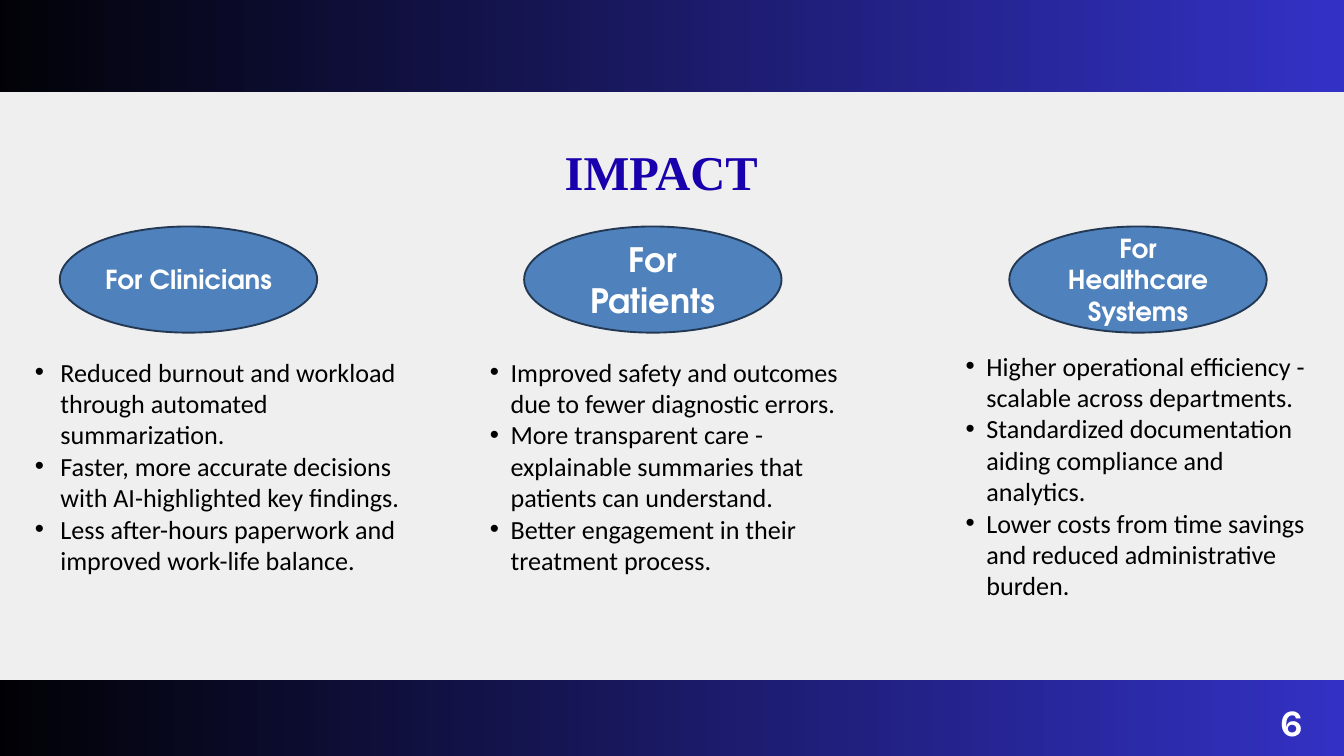
"""Build the IMPACT slide: three audiences, each with a heading and its benefits."""
from lxml import etree
from pptx import Presentation
from pptx.dml.color import RGBColor
from pptx.enum.shapes import MSO_SHAPE
from pptx.enum.text import MSO_ANCHOR, PP_ALIGN
from pptx.oxml.ns import qn
from pptx.util import Inches, Pt

RECTANGLE, OVAL = MSO_SHAPE.RECTANGLE, MSO_SHAPE.OVAL
CENTER, MIDDLE = PP_ALIGN.CENTER, MSO_ANCHOR.MIDDLE

PAPER = RGBColor(0xEF, 0xEF, 0xEF)
BLACK = RGBColor(0x00, 0x00, 0x00)
WHITE = RGBColor(0xFF, 0xFF, 0xFF)
BAND_BLUE = RGBColor(0x35, 0x33, 0xCD)
TITLE_BLUE = RGBColor(0x18, 0x00, 0xAD)
OVAL_BLUE = RGBColor(0x4F, 0x81, 0xBD)
OVAL_EDGE = RGBColor(0x23, 0x39, 0x53)

BANDS = [(-0.76, -0.49), (-0.55, 10.12)]
BAND_SIZE = (21.52, 1.86)
OVAL_TOP, OVAL_SIZE = 3.37, (3.83, 1.58)

LABELS = [
    ("6", (19.04, 10.29, 0.36, 0.75), "Karla", 40, WHITE),
    ("IMPACT", (1.34, 1.97, 17, 0.99), "Times New Roman", 52, TITLE_BLUE),
]

AUDIENCES = [
    {
        "heading": "For Clinicians", "size": 28, "oval_left": 0.89,
        "box": (0.42, 5.25, 5.92, 3.4), "indent": 0.38,
        "benefits": [
            "Reduced burnout and workload through automated summarization.",
            "Faster, more accurate decisions with AI-highlighted key findings.",
            "Less after-hours paperwork and improved work-life balance.",
        ],
    },
    {
        "heading": "For Patients", "size": 36, "oval_left": 7.8,
        "box": (7.19, 5.25, 5.63, 3.4), "indent": 0.31,
        "benefits": [
            "Improved safety and outcomes due to fewer diagnostic errors.",
            "More transparent care - explainable summaries that patients can understand.",
            "Better engagement in their treatment process.",
        ],
    },
    {
        "heading": "For Healthcare Systems", "size": 28, "oval_left": 15.02,
        "box": (14.27, 5.16, 5.33, 3.87), "indent": 0.31,
        "benefits": [
            "Higher operational efficiency - scalable across departments.",
            "Standardized documentation aiding compliance and analytics.",
            "Lower costs from time savings and reduced administrative burden.",
        ],
    },
]


def inches(values):
    return [Inches(value) for value in values]


def style(paragraph, font_name, size, color, bold=False):
    for run in paragraph.runs:
        run.font.name = font_name
        run.font.size = Pt(size)
        run.font.color.rgb = color
        run.font.bold = bold


def add_band(slide, corner):
    band = slide.shapes.add_shape(RECTANGLE, *inches(corner + BAND_SIZE))
    band.shadow.inherit = False
    band.line.fill.background()
    band.fill.gradient()
    band.fill.gradient_angle = 0
    for stop, position, color in zip(band.fill.gradient_stops, (0, 1), (BLACK, BAND_BLUE)):
        stop.position = position
        stop.color.rgb = color


def add_label(slide, text, box, font_name, size, color):
    frame = slide.shapes.add_textbox(*inches(box)).text_frame
    frame.word_wrap = True
    frame.margin_left = frame.margin_right = frame.margin_top = frame.margin_bottom = 0
    frame.text = text
    line = frame.paragraphs[0]
    line.alignment = CENTER
    line.line_spacing = Pt(size * 1.4)
    style(line, font_name, size, color, bold=True)


def add_heading(slide, audience):
    oval = slide.shapes.add_shape(
        OVAL, *inches((audience["oval_left"], OVAL_TOP) + OVAL_SIZE))
    oval.shadow.inherit = False
    oval.fill.solid()
    oval.fill.fore_color.rgb = OVAL_BLUE
    oval.line.color.rgb = OVAL_EDGE
    oval.line.width = Pt(2)
    frame = oval.text_frame
    frame.word_wrap = True
    frame.vertical_anchor = MIDDLE
    frame.text = audience["heading"]
    frame.paragraphs[0].alignment = CENTER
    style(frame.paragraphs[0], "TeX Gyre Adventor", audience["size"], WHITE, bold=True)


def add_bullet(paragraph, indent):
    properties = paragraph._p.get_or_add_pPr()
    properties.set("marL", str(Inches(indent)))
    properties.set("indent", str(-Inches(indent)))
    etree.SubElement(properties, qn("a:buFont")).set("typeface", "Arial")
    etree.SubElement(properties, qn("a:buChar")).set("char", "•")


def add_benefits(slide, audience):
    frame = slide.shapes.add_textbox(*inches(audience["box"])).text_frame
    frame.word_wrap = True
    frame.text = "\n".join(audience["benefits"])
    for benefit in frame.paragraphs:
        add_bullet(benefit, audience["indent"])
        style(benefit, "Calibri", 28, BLACK)


def main():
    deck = Presentation()
    deck.slide_width, deck.slide_height = Inches(20), Inches(11.25)
    slide = deck.slides.add_slide(deck.slide_layouts[6])
    slide.background.fill.solid()
    slide.background.fill.fore_color.rgb = PAPER
    for corner in BANDS:
        add_band(slide, corner)
    for label in LABELS:
        add_label(slide, *label)
    for audience in AUDIENCES:
        add_heading(slide, audience)
    for audience in AUDIENCES:
        add_benefits(slide, audience)
    deck.save("out.pptx")


if __name__ == "__main__":
    main()
